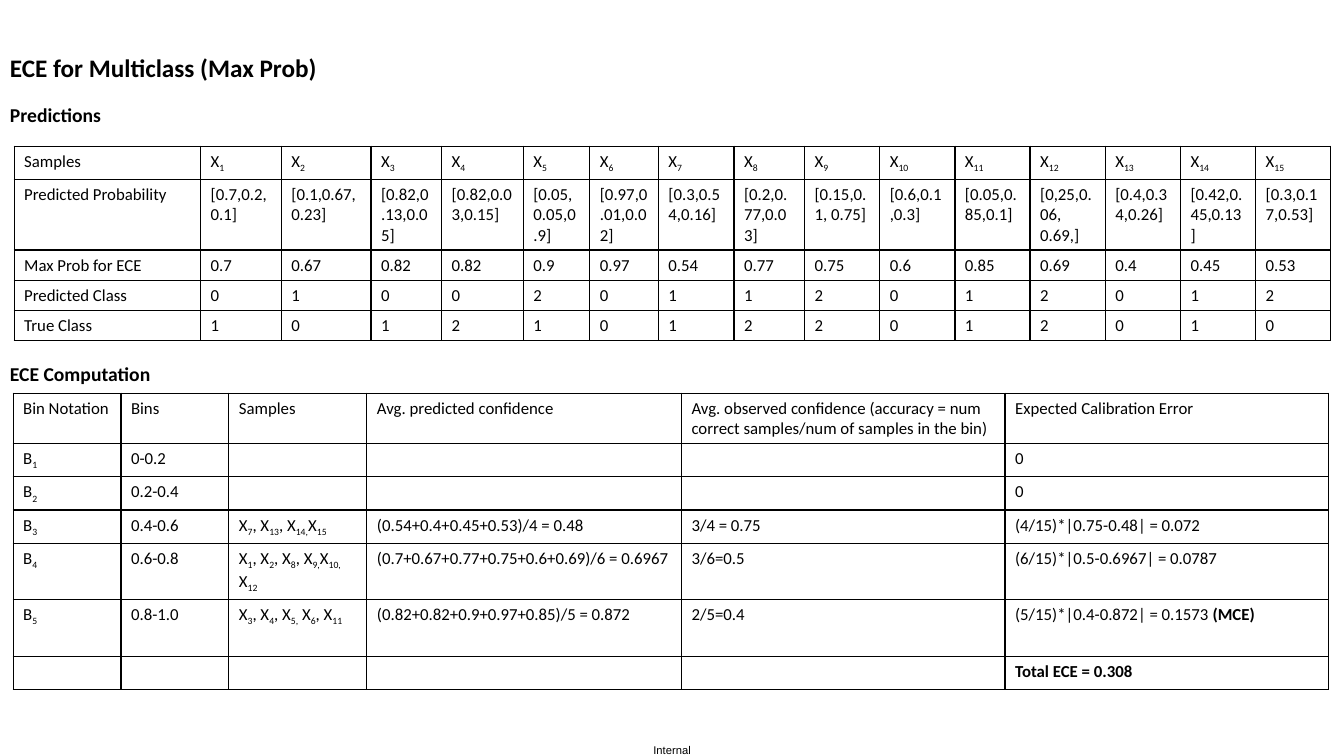
import pptx
import pptx.dml.color
import pptx.oxml
import pptx.oxml.ns
import pptx.util
from lxml import etree

Inches = pptx.util.Inches
Pt = pptx.util.Pt
BLACK = pptx.dml.color.RGBColor(0, 0, 0)
WIDE = 13.06

# In cell text, "~" parts the runs; "_" opens a subscript, "!" a bold run
SAMPLES = [
    ["Samples"] + [f"X~_{n}" for n in range(1, 16)],
    ["Predicted Probability",
     "[0.7,0.2,0.1]", "[0.1,0.67,0.23]", "[0.82,0.13,0.05]",
     "[0.82,0.03,0.15]", "[0.05,0.05,0.9]", "[0.97,0.01,0.02]",
     "[0.3,0.54,0.16]", "[0.2,0.77,0.03]", "[0.15,0.1, 0.75]",
     "[0.6,0.1,0.3]", "[0.05,0.85,0.1]", "[0,25,0.06, 0.69,]",
     "[0.4,0.34,0.26]", "[0.42,0.45,0.13]", "[0.3,0.17,0.53]"],
    ["Max Prob for ECE"] + ("0.7 0.67 0.82 0.82 0.9 0.97 0.54 0.77 0.75 "
                            "0.6 0.85 0.69 0.4 0.45 0.53").split(),
    ["Predicted Class"] + list("010020112012012"),
    ["True Class"] + list("101210122012010"),
]
BINS = [
    ["Bin Notation", "Bins", "Samples", "Avg. predicted confidence",
     "Avg. observed confidence (accuracy = num correct samples/num of "
     "samples in the bin)", "Expected Calibration Error"],
    ["B~_1", "0-0.2", "", "", "", "0"],
    ["B~_2", "0.2-0.4", "", "", "", "0"],
    ["B~_3", "0.4-0.6", "X~_7~, X~_13~, X~_14,~X~_15",
     "(0.54+0.4+0.45+0.53)/4 = 0.48", "3/4 = 0.75",
     "(4/15)*|0.75-0.48| = 0.072"],
    ["B~_4", "0.6-0.8", "X~_1~, X~_2~, X~_8~, X~_9,~X~_10,~ X~_12",
     "(0.7+0.67+0.77+0.75+0.6+0.69)/6 = 0.6967", "3/6=0.5",
     "(6/15)*|0.5-0.6967| = 0.0787"],
    ["B~_5", "0.8-1.0", "X~_3~, X~_4~, X~_5,~ X~_6~, X~_11",
     "(0.82+0.82+0.9+0.97+0.85)/5 = 0.872", "2/5=0.4",
     "(5/15)*|0.4-0.872| = 0.1573 ~!(MCE)"],
    ["", "", "", "", "", "!Total ECE = 0.308"],
]


def style(font, size, bold=False, face="Calibri"):
    font.name = face
    font.size = Pt(size)
    font.bold = bold
    font.color.rgb = BLACK


def add_label(slide, text, left, top, width, height, size,
              bold=True, face="Calibri", inset=True):
    box = slide.shapes.add_textbox(
        Inches(left), Inches(top), Inches(width), Inches(height))
    frame = box.text_frame
    frame.word_wrap = inset
    if not inset:
        frame.margin_left = frame.margin_right = 0
        frame.margin_top = frame.margin_bottom = 0
    frame.text = text
    style(frame.paragraphs[0].runs[0].font, size, bold, face)


def fill_cell(cell, text):
    par = cell.text_frame.paragraphs[0]
    if not text:
        # An empty cell still needs its text size, or the row grows
        end = etree.SubElement(par._p, pptx.oxml.ns.qn("a:endParaRPr"))
        end.set("sz", "1200")
    for part in text.split("~") if text else []:
        run = par.add_run()
        run.text = part.lstrip("_!")
        style(run.font, 12, part.startswith("!"))
        if part.startswith("_"):
            run._r.get_or_add_rPr().set("baseline", "-25000")


def frame_cell(cell):
    props = cell._tc.get_or_add_tcPr()
    for side in ("lnL", "lnR", "lnT", "lnB"):
        props.append(pptx.oxml.parse_xml(
            f'<a:{side} {pptx.oxml.ns.nsdecls("a")} w="12700"><a:solidFill>'
            f'<a:srgbClr val="{BLACK}"/></a:solidFill></a:{side}>'))
    cell.fill.background()


def add_grid(slide, left, top, widths, heights, data):
    table = slide.shapes.add_table(
        len(heights), len(widths), Inches(left), Inches(top),
        Inches(sum(widths)), Inches(sum(heights))).table
    table.first_row = table.horz_banding = False
    for col, width in zip(table.columns, widths):
        col.width = Inches(width)
    for row, height, texts in zip(table.rows, heights, data):
        row.height = Inches(height)
        for cell, text in zip(row.cells, texts):
            fill_cell(cell, text)
            frame_cell(cell)


def add_samples(slide, left, top):
    add_label(slide, "Predictions", left, top, 2.51, 0.34, 14)
    widths = [1.85, 0.8, 0.89, 0.7, 0.81, 0.66, 0.68, 0.75, 0.7]
    # The last seven columns share the rest of the width
    widths += [(WIDE - sum(widths)) / 7] * 7
    add_grid(slide, left + 0.14, top + 0.48, widths,
             [0.33, 0.69, 0.3, 0.3, 0.3], SAMPLES)


def add_bins(slide, left, top):
    add_label(slide, "ECE Computation", left, top, 3.4, 0.34, 14)
    add_grid(slide, left + 0.13, top + 0.36,
             [1.07, 1.07, 1.37, 3.12, 3.21, 3.21],
             [0.5, 0.33, 0.33, 0.33, 0.56, 0.56, 0.33], BINS)


def main():
    deck = pptx.Presentation()
    deck.slide_width = Inches(13.33)
    deck.slide_height = Inches(7.5)
    slide = deck.slides.add_slide(deck.slide_layouts[6])

    # Title, the two tables with their headings, footer
    add_label(slide, "ECE for Multiclass (Max Prob)", 0, 0.47, 4.73, 0.4, 18)
    add_samples(slide, 0, 0.97)
    add_bins(slide, 0, 3.54)
    add_label(slide, "Internal", 6.48, 7.37, 0.4, 0.13, 8,
              bold=False, face="Arial", inset=False)
    deck.save("out.pptx")


if __name__ == "__main__":
    main()
